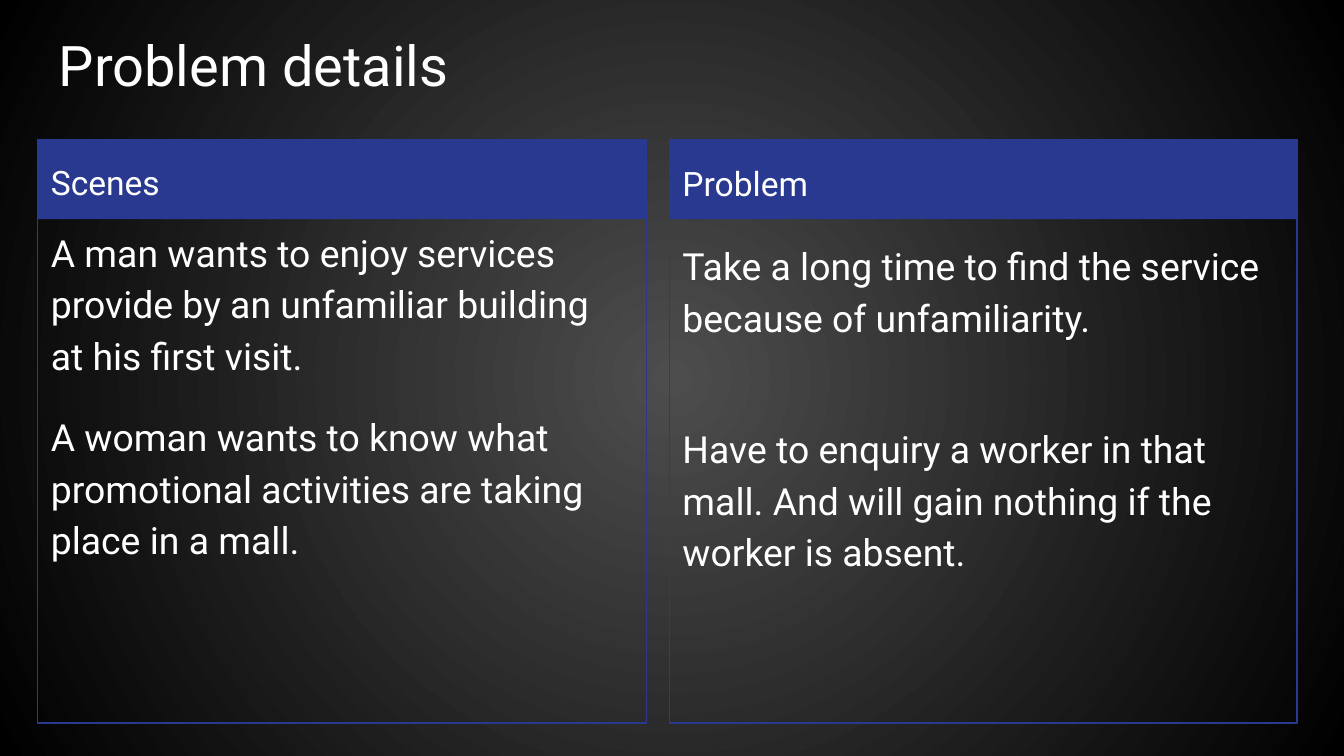
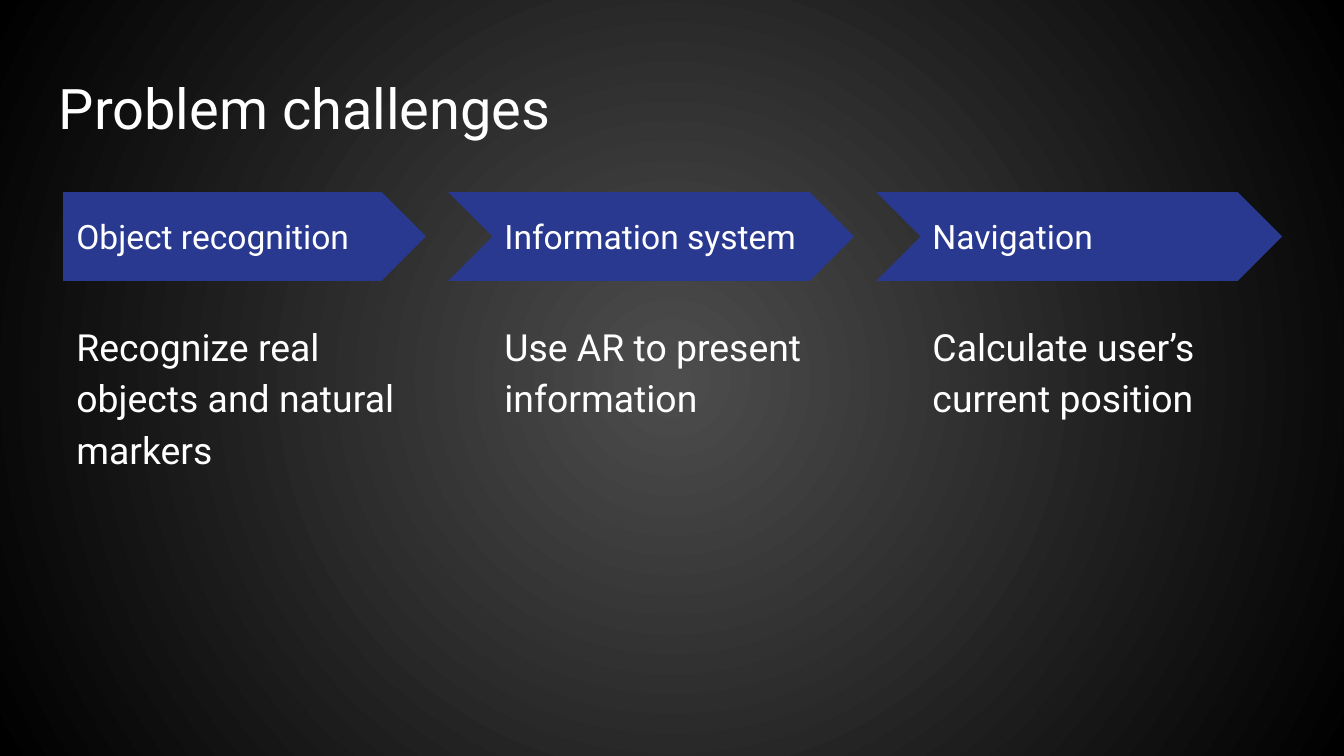
import dataclasses

import pptx
import pptx.dml.color
import pptx.enum.shapes
import pptx.enum.text
import pptx.oxml
import pptx.oxml.ns
import pptx.util

Inches = pptx.util.Inches
Pt = pptx.util.Pt
RGBColor = pptx.dml.color.RGBColor
Preset = pptx.enum.shapes.MSO_SHAPE
Anchor = pptx.enum.text.MSO_ANCHOR


@dataclasses.dataclass(frozen=True)
class Theme:
    font: str = "Roboto"
    text: RGBColor = RGBColor(0xFF, 0xFF, 0xFF)
    accent: RGBColor = RGBColor(0x2A, 0x39, 0x90)
    glow: RGBColor = RGBColor(0x4D, 0x4D, 0x4D)
    edge: RGBColor = RGBColor(0x00, 0x00, 0x00)
    title_size: int = 30
    heading_size: int = 18
    body_size: int = 20
    body_spacing: float = 1.15
    inset: float = 0.1
    outline: float = 0.75


class Deck:
    def __init__(self, theme):
        self.theme = theme
        self.presentation = pptx.Presentation()
        self.presentation.slide_width = Inches(10)
        self.presentation.slide_height = Inches(10 * 9 / 16)
        self.slide = None

    def add_slide(self, title, title_top):
        self.slide = self.presentation.slides.add_slide(self.presentation.slide_layouts[6])
        self.background()
        self.text(title, 0.34, title_top, 9.32, 0.66, self.theme.title_size)

    def background(self):
        fill = self.slide.background.fill
        fill.gradient()
        for stop, color in zip(fill.gradient_stops, (self.theme.glow, self.theme.edge)):
            stop.color.rgb = color
        fill.gradient_stops[0].position = 0
        fill.gradient_stops[1].position = 1
        qn = pptx.oxml.ns.qn
        gradient = self.slide.element.find(".//" + qn("a:gradFill"))
        gradient.remove(gradient.find(qn("a:lin")))
        gradient.append(pptx.oxml.parse_xml(
            f'<a:path {pptx.oxml.ns.nsdecls("a")} path="circle">'
            '<a:fillToRect l="50000" t="50000" r="50000" b="50000"/></a:path>'))

    def text(self, content, left, top, width, height, size, spacing=1.0,
             gap=0, after=0, anchor=Anchor.TOP):
        box = self.slide.shapes.add_textbox(Inches(left), Inches(top), Inches(width), Inches(height))
        frame = box.text_frame
        frame.word_wrap = True
        frame.vertical_anchor = anchor
        frame.margin_left = frame.margin_right = Inches(self.theme.inset)
        frame.margin_top = frame.margin_bottom = Inches(self.theme.inset)
        frame.text = content
        for index, paragraph in enumerate(frame.paragraphs):
            paragraph.line_spacing = spacing
            paragraph.space_before = Pt(gap if index else 0)
            paragraph.space_after = Pt(after)
            for run in paragraph.runs:
                run.font.name = self.theme.font
                run.font.size = Pt(size)
                run.font.color.rgb = self.theme.text

    def shape(self, preset, left, top, width, height, filled=True, parent=None):
        shapes = (parent or self.slide).shapes
        shape = shapes.add_shape(preset, Inches(left), Inches(top), Inches(width), Inches(height))
        shape.shadow.inherit = False
        if filled:
            shape.fill.solid()
            shape.fill.fore_color.rgb = self.theme.accent
            shape.line.fill.background()
        else:
            shape.fill.background()
            shape.line.color.rgb = self.theme.accent
            shape.line.width = Pt(self.theme.outline)
        return shape

    def panel(self, left, width, heading, heading_top, heading_width,
              body, body_top, body_width, gap):
        top = 1.04
        group = self.slide.shapes.add_group_shape()
        self.shape(Preset.RECTANGLE, left, top, width, 0.59, parent=group)
        self.shape(Preset.RECTANGLE, left, top, width, 4.34, filled=False, parent=group)
        spacing = self.theme.body_spacing
        self.text(heading, left, heading_top, heading_width, 0.5,
                  self.theme.heading_size, spacing)
        self.text(body, left, body_top, body_width, 3.74,
                  self.theme.body_size, spacing, gap)

    def step(self, index, heading, body):
        text_left = 0.47 + 3.185 * index
        notch = 0.32 if index else 0
        arrow = self.shape(Preset.CHEVRON if index else Preset.PENTAGON,
                           text_left - notch, 1.43, 2.7 + notch, 0.66)
        arrow.adjustments[0] = 0.5
        self.text(heading, text_left, 1.59, 2.47, 0.34,
                  self.theme.heading_size, anchor=Anchor.MIDDLE)
        self.text(body, text_left, 2.26, 2.7, 2.9,
                  self.theme.body_size, self.theme.body_spacing, after=8)


def main():
    deck = Deck(Theme())

    deck.add_slide("Problem details", 0.13)
    deck.panel(
        0.28, 4.53, "Scenes", 1.06, 2.99,
        "A man wants to enjoy services provide by an unfamiliar building at his first visit.\n"
        "A woman wants to know what promotional activities are taking place in a mall.",
        1.56, 4.36, gap=16)
    deck.panel(
        4.98, 4.67, "Problem", 1.07, 4.67,
        "Take a long time to find the service because of unfamiliarity.\n"
        "Have to enquiry a worker in that mall. And will gain nothing if the worker is absent.",
        1.66, 4.67, gap=43)

    deck.add_slide("Problem challenges", 0.45)
    steps = (
        ("Object recognition", "Recognize real objects and natural markers"),
        ("Information system", "Use AR to present information"),
        ("Navigation", "Calculate user’s current position"),
    )
    for index, (heading, body) in enumerate(steps):
        deck.step(index, heading, body)

    deck.presentation.save("out.pptx")


if __name__ == "__main__":
    main()
